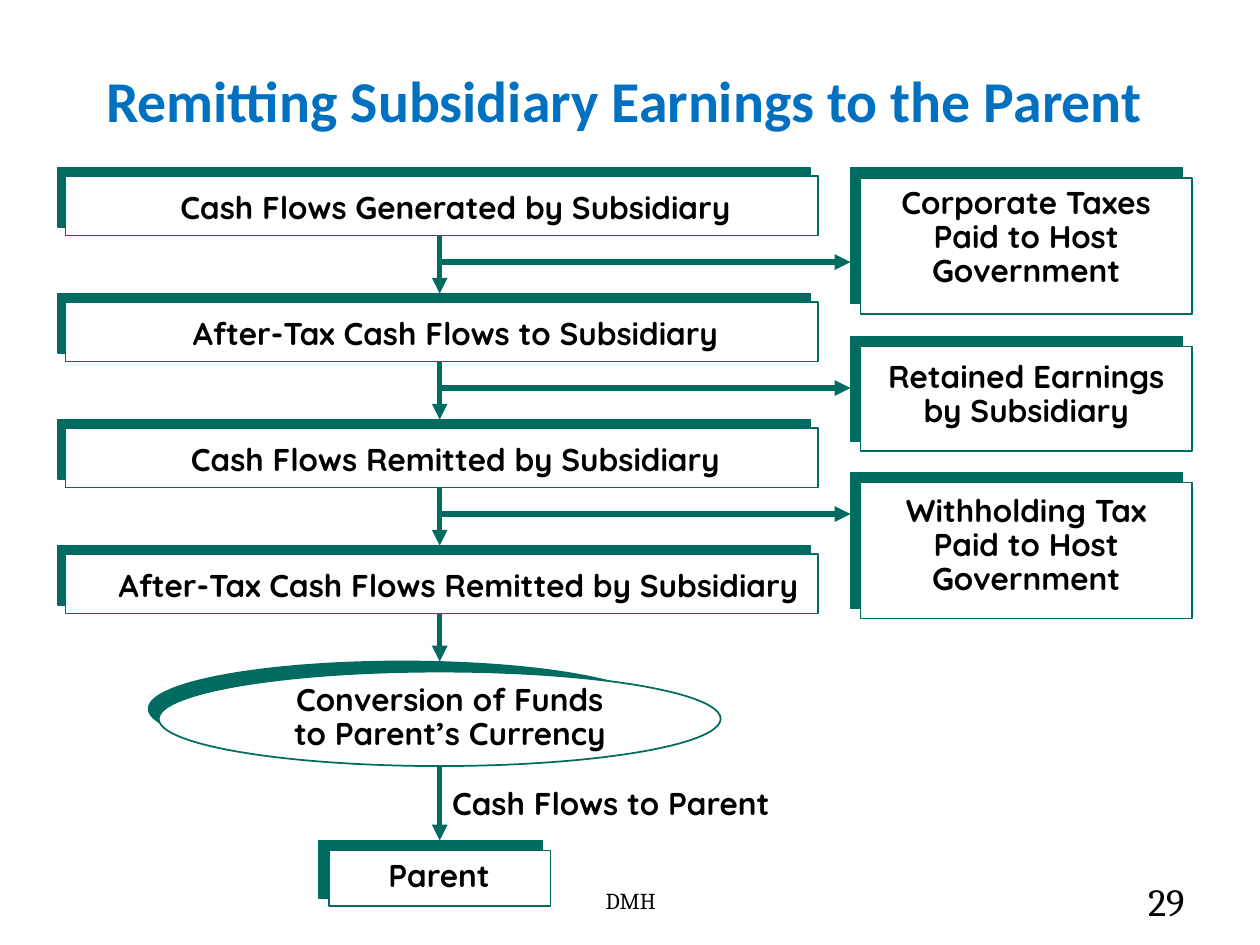
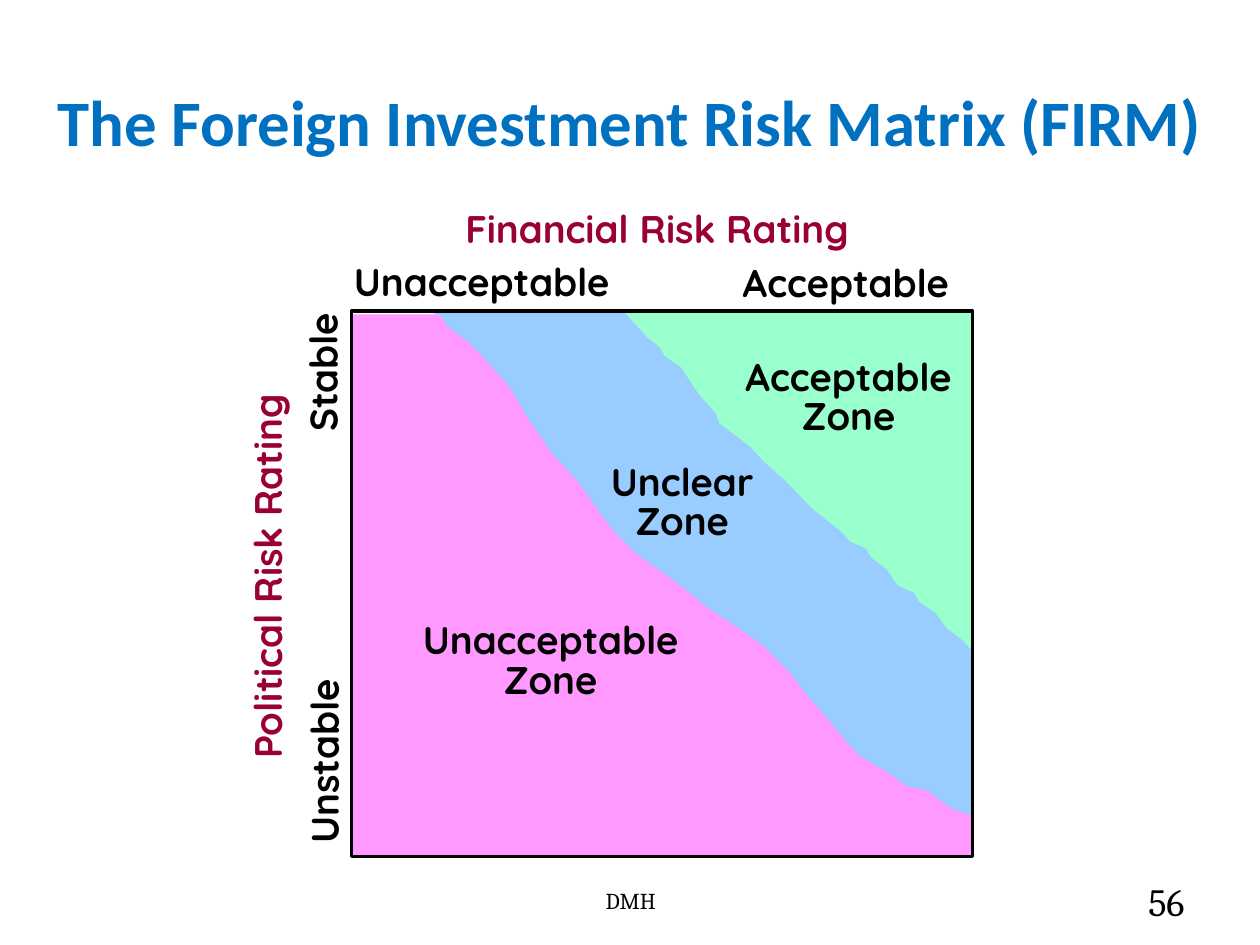
from pptx import Presentation
from pptx.dml.color import RGBColor
from pptx.enum.shapes import MSO_CONNECTOR, MSO_SHAPE
from pptx.enum.text import MSO_ANCHOR, MSO_AUTO_SIZE, PP_ALIGN
from pptx.oxml.ns import qn
from pptx.util import Pt
from lxml import etree

PX = 9144  # EMU per px, 100 px to the inch

BLUE = RGBColor(0x00, 0x70, 0xC0)
GREEN = RGBColor(0x00, 0x6B, 0x61)
BLACK = RGBColor(0x00, 0x00, 0x00)
WHITE = RGBColor(0xFF, 0xFF, 0xFF)
MAROON = RGBColor(0x99, 0x00, 0x33)
PINK = RGBColor(0xFF, 0x99, 0xFF)
MINT = RGBColor(0x99, 0xFF, 0xCC)
SKY = RGBColor(0x99, 0xCC, 0xFF)

TITLE_FONT, FOOTER_FONT, BODY_FONT = "Calibri", "Cambria", "Quicksand"
LEFT, CENTER, RIGHT = PP_ALIGN.LEFT, PP_ALIGN.CENTER, PP_ALIGN.RIGHT
TOP, MIDDLE = MSO_ANCHOR.TOP, MSO_ANCHOR.MIDDLE
RECT, OVAL = MSO_SHAPE.RECTANGLE, MSO_SHAPE.OVAL
TITLE_ONLY = 5

# text, left and width of its caption
STEPS = [
    ("Cash Flows Generated by Subsidiary", 125, 473),
    ("After-Tax Cash Flows to Subsidiary", 141, 441),
    ("Cash Flows Remitted by Subsidiary", 138, 447),
    ("After-Tax Cash Flows Remitted by Subsidiary", 81, 566),
]
STEP_TOP, STEP_PITCH = 133, 100
FLOW_X, DEDUCTION_X = 349, 675
FLOW_ARROWS = [(183, 233), (283, 333), (383, 433), (475, 525), (608, 667)]

# text, top, height, caption top
DEDUCTIONS = [
    ("Corporate Taxes Paid to Host Government", 133, 108, 144),
    ("Retained Earnings\nby Subsidiary", 267, 83, 282),
    ("Withholding Tax Paid to Host Government", 375, 108, 388),
]

MATRIX_LEFT, MATRIX_TOP, MATRIX_RIGHT, MATRIX_BOTTOM = 279, 247, 772, 680
UNACCEPTABLE_ZONE = [(279, 250), (390, 250), (772, 631), (772, 680), (279, 680)]
ACCEPTABLE_ZONE = [(470, 247), (772, 247), (772, 547)]
UNCLEAR_ZONE = [
    (348, 248), (495, 248), (513, 268), (523, 276), (527, 283), (540, 292),
    (554, 313), (568, 329), (570, 336), (595, 355), (605, 366), (615, 375),
    (625, 384), (644, 404), (668, 423), (674, 430), (687, 436), (691, 443),
    (703, 452), (712, 465), (725, 471), (729, 478), (742, 487), (751, 499),
    (764, 509), (772, 518), (772, 647), (755, 641), (736, 627), (719, 623),
    (707, 614), (682, 599), (672, 588), (652, 564), (642, 553), (627, 533),
    (607, 513), (585, 497), (562, 482), (535, 460), (505, 439), (489, 423),
    (476, 406), (460, 383), (439, 360), (421, 334), (405, 307), (384, 283),
    (372, 271), (356, 259), (350, 250), (344, 248),
]


def to_emu(*lengths):
    return [length * PX for length in lengths]


def format_text(tf, size, font, color, bold, align, spacing=None):
    for p in tf.paragraphs:
        p.alignment = align
        if spacing:
            p.line_spacing = spacing
        for r in p.runs:
            r.font.size = Pt(size)
            r.font.name = font
            r.font.bold = bold
            r.font.color.rgb = color


def add_text(s, text, box, size, font=BODY_FONT, color=BLACK, bold=True,
             align=CENTER, spacing=None, anchor=TOP, wrap=True, rotation=0):
    sp = s.shapes.add_textbox(*to_emu(*box))
    sp.rotation = rotation
    tf = sp.text_frame
    tf.word_wrap = wrap
    tf.vertical_anchor = anchor
    tf.text = text
    format_text(tf, size, font, color, bold, align, spacing)


def add_slide(prs, title, title_box, title_size, number):
    """Add a slide with the shared title style and footer."""
    s = prs.slides.add_slide(prs.slide_layouts[TITLE_ONLY])
    sp = s.shapes.title
    sp.left, sp.top, sp.width, sp.height = to_emu(*title_box)
    tf = sp.text_frame
    tf.text = title
    tf.auto_size = MSO_AUTO_SIZE.NONE
    tf.vertical_anchor = MIDDLE
    format_text(tf, title_size, TITLE_FONT, BLUE, True, CENTER)
    add_text(s, "DMH", (342, 695, 317, 40), 13, FOOTER_FONT,
             bold=False, anchor=MIDDLE)
    add_text(s, number, (717, 695, 233, 40), 22, FOOTER_FONT,
             bold=False, align=RIGHT, anchor=MIDDLE)
    return s


def paint(sp, fill, line, width):
    sp.shadow.inherit = False
    if fill is None:
        sp.fill.background()
    else:
        sp.fill.solid()
        sp.fill.fore_color.rgb = fill
    sp.line.color.rgb = line
    sp.line.width = Pt(width)


def add_card(s, kind, back, front):
    """Draw a white shape over an offset green one."""
    for box, fill in ((back, GREEN), (front, WHITE)):
        paint(s.shapes.add_shape(kind, *to_emu(*box)), fill, GREEN, 1)


def add_arrow(s, x1, y1, x2, y2):
    line = s.shapes.add_connector(MSO_CONNECTOR.STRAIGHT, *to_emu(x1, y1, x2, y2))
    line.line.color.rgb = GREEN
    line.line.width = Pt(3)
    etree.SubElement(line.line._get_or_add_ln(), qn("a:tailEnd"), type="triangle")
    etree.SubElement(line._element.spPr, qn("a:effectLst"))


def add_zone(s, points, color):
    builder = s.shapes.build_freeform(*points[0], scale=PX)
    builder.add_line_segments(points[1:], close=True)
    paint(builder.convert_to_shape(), color, color, 0.75)


def build_remittance(prs):
    s = add_slide(prs, "Remitting Subsidiary Earnings to the Parent",
                  (22, 25, 947, 108), 33, "29")
    for start, end in FLOW_ARROWS:
        add_arrow(s, FLOW_X, start, FLOW_X, end)

    for i, (text, left, width) in enumerate(STEPS):
        top = STEP_TOP + i * STEP_PITCH
        add_card(s, RECT, (46, top, 597, 47), (52, top + 7, 597, 47))
        add_text(s, text, (left, top + 11, width, 40), 18, wrap=False)

    for text, top, height, text_top in DEDUCTIONS:
        add_card(s, RECT, (DEDUCTION_X, top, 263, height),
                 (DEDUCTION_X + 8, top + 8, 263, height))
        add_text(s, text, (DEDUCTION_X + 8, text_top, 263, height - 17), 18,
                 spacing=0.9)

    add_card(s, OVAL, (118, 525, 403, 75), (126, 533, 446, 75))
    add_text(s, "Conversion of Funds\nto Parent’s Currency",
             (222, 538, 270, 65), 18, spacing=0.9, wrap=False)
    add_card(s, RECT, (253, 667, 177, 46), (261, 675, 176, 44))
    add_text(s, "Parent", (261, 678, 175, 37), 18, spacing=0.9)
    add_text(s, "Cash Flows to Parent", (349, 617, 274, 40), 18,
             align=LEFT, wrap=False)

    for i in range(len(DEDUCTIONS)):
        y = STEP_TOP + 75 + i * STEP_PITCH
        add_arrow(s, FLOW_X, y, DEDUCTION_X, y)


def build_risk_matrix(prs):
    s = add_slide(prs, "The Foreign Investment Risk Matrix (FIRM)",
                  (22, 33, 955, 125), 37, "56")
    add_zone(s, UNACCEPTABLE_ZONE, PINK)
    add_zone(s, ACCEPTABLE_ZONE, MINT)
    add_zone(s, UNCLEAR_ZONE, SKY)
    frame = s.shapes.add_shape(RECT, *to_emu(
        MATRIX_LEFT, MATRIX_TOP,
        MATRIX_RIGHT - MATRIX_LEFT, MATRIX_BOTTOM - MATRIX_TOP))
    paint(frame, None, BLACK, 2)

    for text, box in (("Unclear\nZone", (470, 364, 143, 73)),
                      ("Acceptable\nZone", (576, 281, 195, 104)),
                      ("Unacceptable\nZone", (319, 490, 236, 73))):
        add_text(s, text, box, 22, spacing=0.85, wrap=False)

    for text, box, color, align, rotation in (
            ("Financial Risk Rating", (271, 158, 501, 47), MAROON, CENTER, 0),
            ("Political Risk Rating", (-9, 434, 442, 47), MAROON, CENTER, 270),
            ("Acceptable", (540, 201, 223, 47), BLACK, RIGHT, 0),
            ("Unacceptable", (271, 200, 231, 83), BLACK, LEFT, 0),
            ("Stable", (193, 278, 126, 47), BLACK, RIGHT, 270),
            ("Unstable", (170, 569, 174, 47), BLACK, LEFT, 270)):
        add_text(s, text, box, 22, color=color, align=align, rotation=rotation)


def main():
    prs = Presentation()
    prs.slide_width, prs.slide_height = to_emu(1000, 750)
    build_remittance(prs)
    build_risk_matrix(prs)
    prs.save("out.pptx")


if __name__ == "__main__":
    main()
